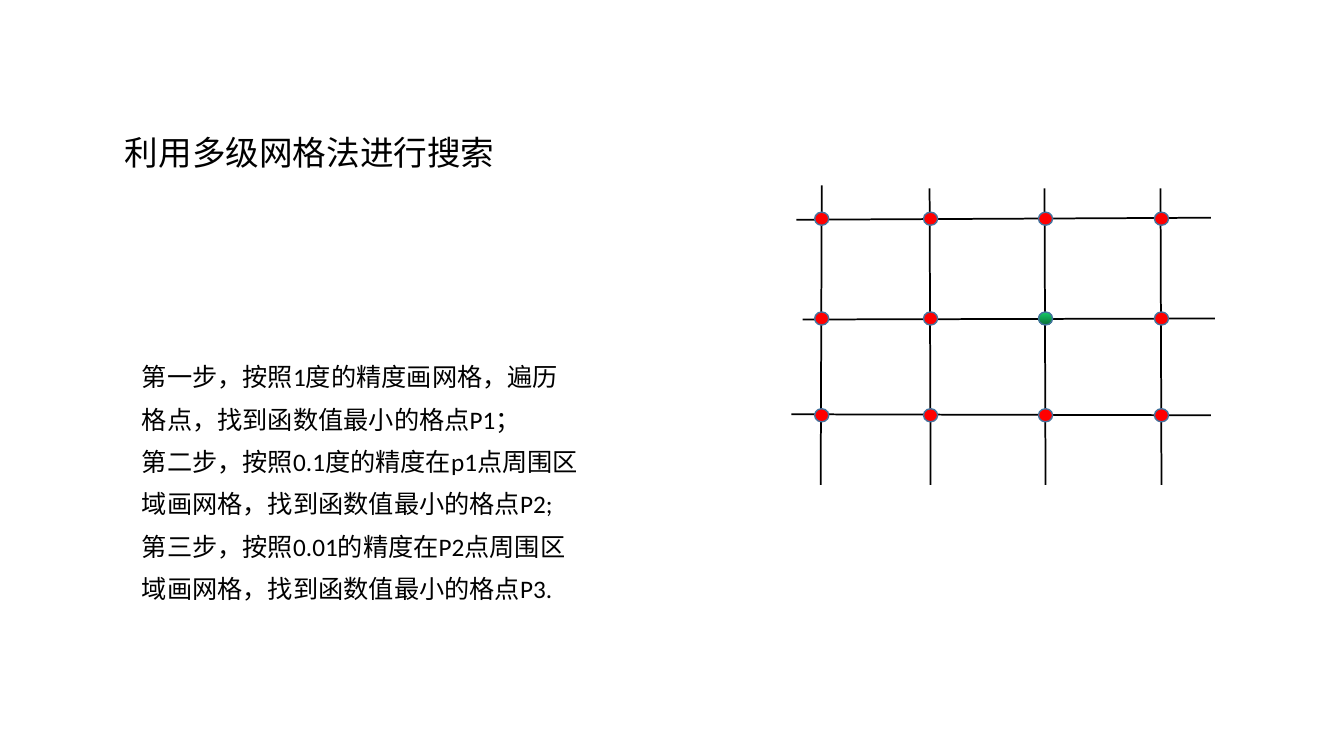
from lxml import etree
from pptx import Presentation
from pptx.dml.color import RGBColor
from pptx.enum.shapes import MSO_CONNECTOR as CONNECTOR, MSO_SHAPE as SHAPE
from pptx.enum.text import MSO_AUTO_SIZE as AUTO_SIZE
from pptx.oxml.ns import qn
from pptx.util import Inches, Pt

COLORS = {"ink": "000000", "point": "FF0000", "outline": "43739E",
          "best_top": "14CD68", "best_bottom": "0B6E38"}
FONT = "Calibri"
TITLE = "利用多级网格法进行搜索"
STEPS = [
    "第一步，按照1度的精度画网格，遍历格点，找到函数值最小的格点P1；",
    "第二步，按照0.1度的精度在p1点周围区域画网格，找到函数值最小的格点P2;",
    "第三步，按照0.01的精度在P2点周围区域画网格，找到函数值最小的格点P3.",
]
ROW_LINES = [(0.05, 0.34, 4.16, 0.32), (0.11, 1.33, 4.2, 1.32), (0, 2.27, 4.16, 2.28)]
COLUMN_LINES = [(0.3, 0, 0.29, 2.97), (1.37, 0.03, 1.38, 2.97),
                (2.51, 0.03, 2.52, 2.97), (3.66, 0.03, 3.67, 2.97)]
POINT_COLUMNS = [0.3, 1.38, 2.52, 3.67]
POINT_ROWS = [0.33, 1.32, 2.28]
BEST_POINT = (2, 1)
POINT_SIZE = (0.14, 0.13)


def color(name):
    """Return the named colour."""
    return RGBColor.from_string(COLORS[name])


def add_text(slide, box, lines, size, spacing=None):
    """Place a wrapped text box with one paragraph per line."""
    text_frame = slide.shapes.add_textbox(*map(Inches, box)).text_frame
    text_frame.word_wrap = True
    text_frame.auto_size = AUTO_SIZE.SHAPE_TO_FIT_TEXT
    text_frame.text = "\n".join(lines)
    for paragraph in text_frame.paragraphs:
        paragraph.line_spacing = spacing
        for run in paragraph.runs:
            run.font.name = FONT
            run.font.size = Pt(size)
            run.font.color.rgb = color("ink")


def add_grid_line(shapes, left, top, ends):
    """Draw one grid line, its ends given relative to the grid corner."""
    x1, y1, x2, y2 = ends
    line = shapes.add_connector(CONNECTOR.STRAIGHT, Inches(left + x1), Inches(top + y1),
                                Inches(left + x2), Inches(top + y2))
    line.line.color.rgb = color("ink")
    line.line.width = Pt(1.25)
    etree.SubElement(line._element.spPr, qn("a:effectLst"))


def add_grid_point(shapes, x, y, best):
    """Draw a grid point around its centre, shaded green for the best one."""
    width, height = POINT_SIZE
    point = shapes.add_shape(SHAPE.OVAL, Inches(x - width / 2), Inches(y - height / 2),
                             Inches(width), Inches(height))
    point.shadow.inherit = False
    point.line.color.rgb = color("outline")
    point.line.width = Pt(1)
    if best:
        point.fill.gradient()
        point.fill.gradient_angle = 270
        for stop, name in zip(point.fill.gradient_stops, ("best_top", "best_bottom")):
            stop.color.rgb = color(name)
    else:
        point.fill.solid()
        point.fill.fore_color.rgb = color("point")


def add_search_grid(slide, left, top):
    """Draw the search grid as a group: lines first, then points."""
    shapes = slide.shapes.add_group_shape().shapes
    for ends in ROW_LINES + COLUMN_LINES:
        add_grid_line(shapes, left, top, ends)
    for row, y in enumerate(POINT_ROWS):
        for column, x in enumerate(POINT_COLUMNS):
            add_grid_point(shapes, left + x, top + y, (column, row) == BEST_POINT)


def main():
    """Build the slide and save it."""
    presentation = Presentation()
    presentation.slide_width = Inches(13.33)
    presentation.slide_height = Inches(7.5)
    slide = presentation.slides.add_slide(presentation.slide_layouts[6])
    add_text(slide, (1.14, 1.26, 4.02, 0.5), [TITLE], 24)
    add_search_grid(slide, 7.85, 1.84)
    add_text(slide, (1.31, 3.42, 4.57, 2.64), STEPS, 18, 1.4)
    presentation.save("out.pptx")


if __name__ == "__main__":
    main()
